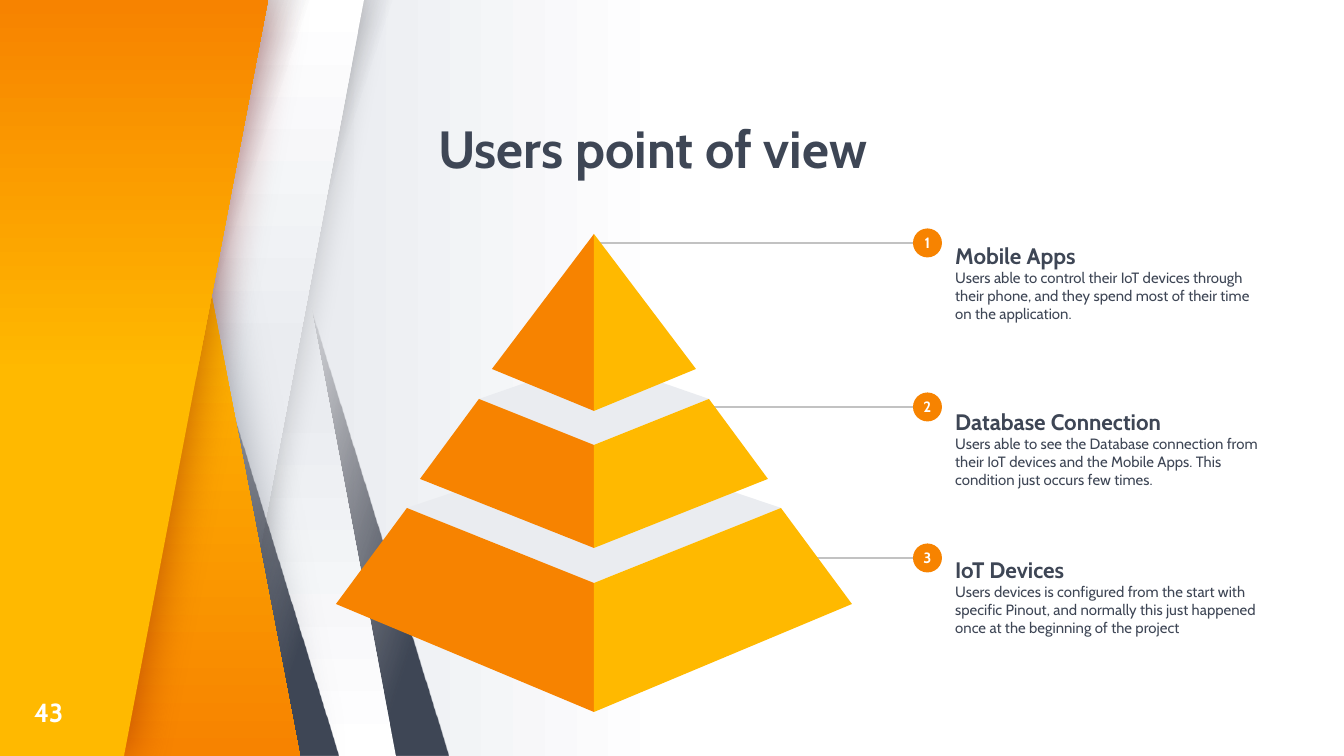
import pptx
import pptx.dml.color
import pptx.enum.shapes
import pptx.enum.text
import pptx.oxml
import pptx.oxml.ns
import pptx.util
from lxml import etree

SCALE = 914400 / 134.4
SLIDE_W, SLIDE_H = 1344, 756
FONT = "Cabin"
COLORS = {
    "slate": "3E4655", "ink": "27252C", "white": "FFFFFF", "mist": "EAECF0",
    "yellow": "FFB900", "orange": "F78300", "rule": "C2C2C2",
    "black": "000000", "maroon": "7E0808",
}

TITLE = "Users point of view"
PAGE = "43"
LEVELS = [
    ("Mobile Apps", "Users able to control their IoT devices through their phone, "
     "and they spend most of their time on the application.", 243, 594, 181),
    ("Database Connection", "Users able to see the Database connection from their IoT "
     "devices and the Mobile Apps. This condition just occurs few times.", 407, 700, 347),
    ("IoT Devices", "Users devices is configured from the start with specific Pinout, "
     "and normally this just happened once at the beginning of the project", 558, 771, 495),
]
BADGE_X, BADGE_SIZE = 913, 29
NOTE_X, NOTE_W, NOTE_H = 942, 331, 203

CENTER = 594
TIERS = [
    dict(back=445, top=(187, 508), ridge=(583, 712), base=(258, 604)),
    dict(back=359, top=(115, 399), ridge=(445, 548), base=(174, 479)),
    dict(back=234, top=(0, 234), ridge=(234, 411), base=(102, 369)),
]

BACKDROP = [(0, "white"), (50, "white"), (76, "mist"), (100, "mist")]
SHADE = [(0, "slate"), (13, "slate"), (55, "ink", 0), (100, "ink", 0)]
PAPER = [(0, "white"), (47, "mist"), (100, "mist")]
BAND_W = 309
BANDS = [
    dict(x=140, flip=True, slant=0.753, stops=SHADE, angle=342),
    dict(x=87, flip=True, slant=0.463, stops=PAPER, angle=270),
    dict(x=87, slant=0.753, stops=SHADE, angle=18),
    dict(x=55, slant=0.463, stops=PAPER, angle=90, shadow=("black", 20, 16.9)),
    dict(x=30, flip=True, slant=0.753, stops=SHADE, angle=342),
    dict(outline=[(0, 0), (0, SLIDE_H), (300, SLIDE_H), (155, 0)], angle=90,
         stops=[(0, "yellow"), (37, "yellow"), (100, "orange")], shadow=("slate", 50, 24.8)),
    dict(x=4, slant=0.753, stops=SHADE, angle=18),
    dict(outline=[(0, SLIDE_H), (0, 0), (268, 0), (124, SLIDE_H)], angle=270,
         stops=[(0, "yellow"), (50, "yellow"), (100, "orange")], shadow=("maroon", 50, 24.8)),
]

qn = pptx.oxml.ns.qn
Anchor = pptx.enum.text.MSO_ANCHOR
Align = pptx.enum.text.PP_ALIGN
Shape = pptx.enum.shapes.MSO_SHAPE


def px(*values):
    return [round(value * SCALE) for value in values]


def rgb(name):
    return pptx.dml.color.RGBColor.from_string(COLORS[name])


def apply(target, values):
    for key, value in values.items():
        setattr(target, key, value)


def add_color(parent, name, opacity=100):
    color = etree.SubElement(parent, qn("a:srgbClr"), val=COLORS[name])
    if opacity < 100:
        etree.SubElement(color, qn("a:alpha"), val=str(opacity * 1000))


def set_gradient(properties, stops, angle):
    gradient = pptx.oxml.parse_xml(
        f'<a:gradFill {pptx.oxml.ns.nsdecls("a")} rotWithShape="1"><a:gsLst/>'
        f'<a:lin ang="{angle * 60000}" scaled="0"/></a:gradFill>')
    for position, *color in stops:
        add_color(etree.SubElement(gradient[0], qn("a:gs"), pos=str(position * 1000)), *color)
    properties.replace(properties.find(qn("a:solidFill")), gradient)


def set_shadow(shape, color, opacity, blur):
    effects = shape.element.spPr.find(qn("a:effectLst"))
    shadow = etree.SubElement(effects, qn("a:outerShdw"), blurRad=str(pptx.util.Pt(blur)),
                              dist="0", dir="0", algn="ctr", rotWithShape="0")
    add_color(shadow, color, opacity)


def paint(shape, color):
    shape.shadow.inherit = False
    shape.fill.solid()
    shape.fill.fore_color.rgb = rgb(color)
    shape.line.fill.background()
    return shape


def add_polygon(shapes, points, color):
    builder = shapes.build_freeform(*points[0], scale=SCALE)
    builder.add_line_segments(points[1:], close=True)
    return paint(builder.convert_to_shape(), color)


def write(shape, lines, anchor, inset=0, align=Align.LEFT, spacing=None):
    frame = shape.text_frame
    margins = {f"margin_{side}": pptx.util.Inches(inset)
               for side in ("left", "top", "right", "bottom")}
    apply(frame, dict(margins, word_wrap=True, vertical_anchor=anchor,
                      auto_size=pptx.enum.text.MSO_AUTO_SIZE.NONE))
    for index, (text, size, bold, color) in enumerate(lines):
        paragraph = frame.add_paragraph() if index else frame.paragraphs[0]
        apply(paragraph, dict(alignment=align, line_spacing=spacing))
        run = paragraph.add_run()
        run.text = text
        apply(run.font, dict(name=FONT, size=pptx.util.Pt(size), bold=bold))
        run.font.color.rgb = rgb(color)


def add_band(shapes, band):
    if "outline" in band:
        shape = add_polygon(shapes, band["outline"], "white")
    else:
        shape = paint(shapes.add_shape(Shape.PARALLELOGRAM,
                                       *px(band["x"], 0, BAND_W, SLIDE_H)), "white")
        shape.adjustments[0] = band["slant"]
        if band.get("flip"):
            shape.element.spPr.find(qn("a:xfrm")).set("flipH", "1")
    set_gradient(shape.element.spPr, band["stops"], band["angle"])
    if "shadow" in band:
        set_shadow(shape, *band["shadow"])


def add_level(shapes, number, heading, detail, y, line_x, note_y):
    leader = shapes.add_connector(pptx.enum.shapes.MSO_CONNECTOR.STRAIGHT,
                                  *px(line_x, y, BADGE_X + BADGE_SIZE / 2, y))
    leader.line.color.rgb = rgb("rule")
    leader.line.width = pptx.util.Pt(0.75)
    etree.SubElement(leader.element.spPr, qn("a:effectLst"))
    badge = paint(shapes.add_shape(
        Shape.OVAL, *px(BADGE_X, y - BADGE_SIZE / 2, BADGE_SIZE, BADGE_SIZE)), "orange")
    write(badge, [(str(number), 8, True, "white")], Anchor.MIDDLE, align=Align.CENTER)
    note = shapes.add_textbox(*px(NOTE_X, note_y, NOTE_W, NOTE_H))
    write(note, [(heading, 12, True, "slate"), (detail, 8, False, "slate")],
          Anchor.MIDDLE, inset=0.1)
    note.text_frame.paragraphs[-1].space_after = pptx.util.Pt(16)


def add_tier(shapes, back, top, ridge, base):
    (top_half, top_y), (base_half, base_y) = top, base
    if top_half:
        add_polygon(shapes, [(CENTER - top_half, top_y), (CENTER, ridge[0]),
                             (CENTER + top_half, top_y), (CENTER, back)], "mist")
    for side, color in ((-1, "orange"), (1, "yellow")):
        add_polygon(shapes, [(CENTER + side * top_half, top_y), (CENTER, ridge[0]),
                             (CENTER, ridge[1]), (CENTER + side * base_half, base_y)], color)


def main():
    deck = pptx.Presentation()
    deck.slide_width, deck.slide_height = px(SLIDE_W, SLIDE_H)
    slide = deck.slides.add_slide(deck.slide_layouts[5])
    shapes = slide.shapes

    slide.background.fill.solid()
    set_gradient(slide.element.find(".//" + qn("p:bgPr")), BACKDROP, 180)
    for band in BANDS:
        add_band(shapes, band)

    title = shapes.title
    apply(title, dict(zip(("left", "top", "width", "height"), px(438, 122, 804, 58))))
    write(title, [(TITLE, 28, True, "slate")], Anchor.BOTTOM, spacing=0.9)
    page = shapes.add_textbox(*px(34, 694, 54, 36))
    write(page, [(PAGE, 14, True, "white")], Anchor.MIDDLE)

    for number, level in enumerate(LEVELS, 1):
        add_level(shapes, number, *level)
    for tier in TIERS:
        add_tier(shapes, **tier)
    deck.save("out.pptx")


if __name__ == "__main__":
    main()
